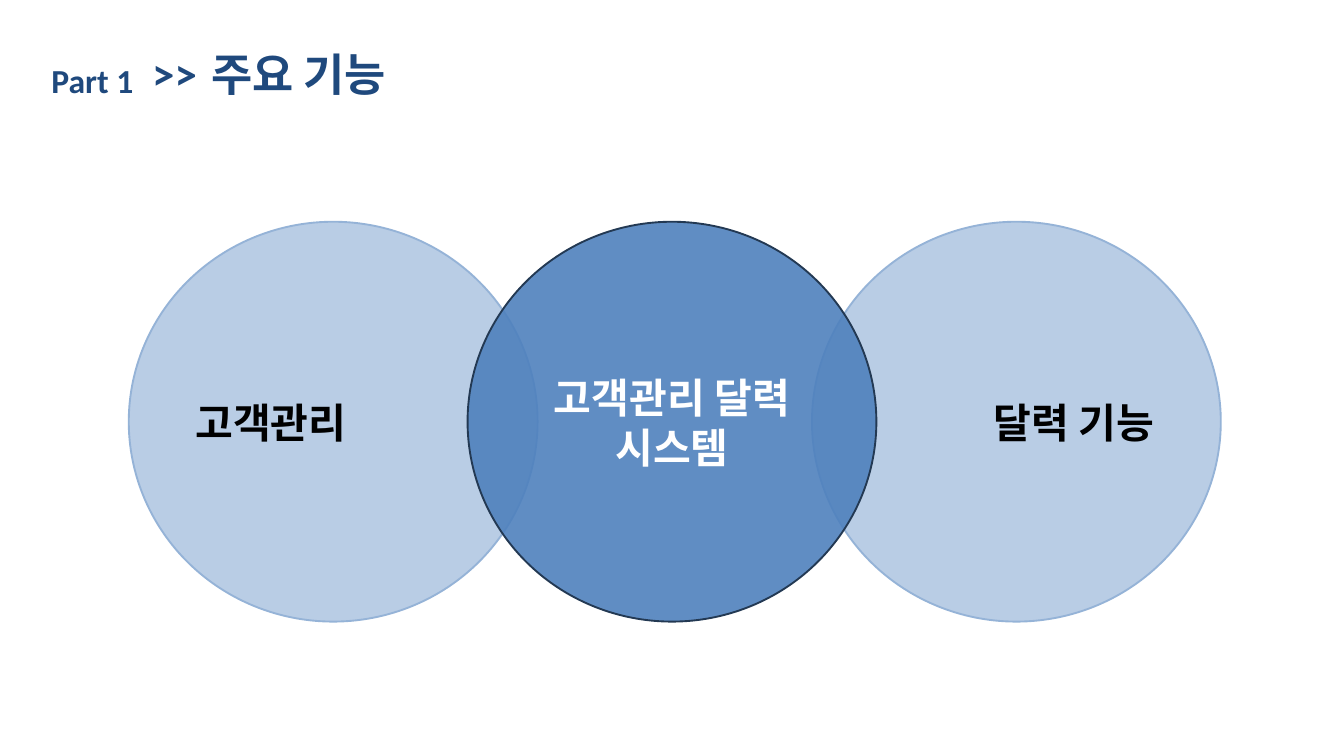
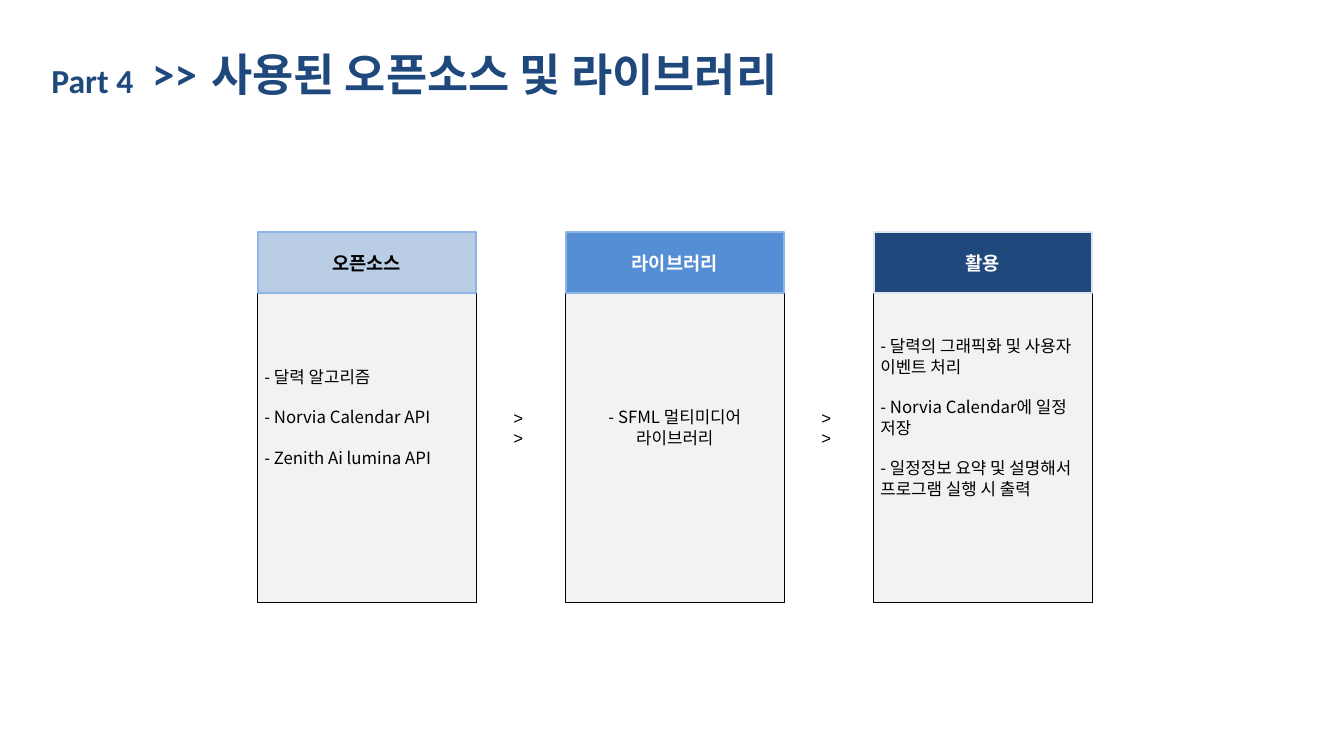
from dataclasses import dataclass
from typing import Optional

from lxml import etree
from pptx import Presentation
from pptx.dml.color import RGBColor
from pptx.enum.shapes import MSO_SHAPE
from pptx.enum.text import MSO_ANCHOR, MSO_AUTO_SIZE, PP_ALIGN
from pptx.oxml.ns import qn
from pptx.util import Inches, Pt

LEFT, CENTER, RIGHT = PP_ALIGN.LEFT, PP_ALIGN.CENTER, PP_ALIGN.RIGHT
TOP, MIDDLE = MSO_ANCHOR.TOP, MSO_ANCHOR.MIDDLE
RECTANGLE, OVAL = MSO_SHAPE.RECTANGLE, MSO_SHAPE.OVAL
NO_FIT = MSO_AUTO_SIZE.NONE

COLORS = {
    "navy": "1F497D", "black": "000000", "white": "FFFFFF", "panel": "F2F2F2",
    "pale": "B9CDE5", "pale_edge": "95B3D7", "core": "4F81BD", "core_edge": "233953",
    "mid": "558ED5", "head_edge": "8EB4E3", "ice": "DCE6F2",
}
KOREAN, LATIN, PLAIN = "Noto Sans CJK KR", "Calibri", "Arial"
LINE_RATIO = 1.21

# The page is a grid of 240 columns by 135 rows
PAGE_WIDTH, PAGE_HEIGHT = Inches(20), Inches(11.25)
COLUMN, ROW = PAGE_WIDTH / 240, PAGE_HEIGHT / 135


@dataclass(frozen=True)
class Area:
    column: float
    row: float
    columns: float
    rows: float

    def emu(self) -> tuple[int, int, int, int]:
        return (round(self.column * COLUMN), round(self.row * ROW),
                round(self.columns * COLUMN), round(self.rows * ROW))


@dataclass(frozen=True)
class TextStyle:
    size: int
    font: str = KOREAN
    color: str = "black"
    bold: bool = False
    align: PP_ALIGN = LEFT
    anchor: MSO_ANCHOR = MIDDLE
    gap: float = 0
    wrap: bool = True


@dataclass(frozen=True)
class Paint:
    fill: str
    line: str
    weight: float = 2
    opacity: int = 100


@dataclass(frozen=True)
class Circle:
    column: float
    lines: list[str]
    paint: Paint
    color: str
    align: PP_ALIGN


@dataclass(frozen=True)
class Card:
    heading: str
    heading_color: str
    paint: Paint
    lines: list[str]
    placeholder: Optional[int] = None


TOPIC_STYLE = TextStyle(48, KOREAN, "navy", True, anchor=TOP, wrap=False)
MARK_STYLE = TextStyle(48, LATIN, "navy", True, anchor=TOP, wrap=False)
PART_STYLE = TextStyle(36, LATIN, "navy", True, anchor=TOP)
STEP_STYLE = TextStyle(18, PLAIN, anchor=TOP)
LIST_STYLE = TextStyle(18, gap=21.8)
NOTE_STYLE = TextStyle(18, align=CENTER)

SIDE_PAINT = Paint("pale", "pale_edge")
PANEL_PAINT = Paint("panel", "black", 0.75)

CIRCLES = [
    Circle(145, ["달력 기능"], SIDE_PAINT, "black", RIGHT),
    Circle(23, ["고객관리"], SIDE_PAINT, "black", LEFT),
    Circle(83.5, ["고객관리 달력", "시스템"],
           Paint("core", "core_edge", opacity=90), "white", CENTER),
]

CARDS = [
    Card("오픈소스", "black", Paint("pale", "head_edge"),
         ["- 달력 알고리즘", "- Norvia Calendar API", "- Zenith Ai lumina API"], 1),
    Card("라이브러리", "white", Paint("mid", "head_edge"),
         ["- SFML 멀티미디어 라이브러리"]),
    Card("활용", "white", Paint("navy", "ice"),
         ["- 달력의 그래픽화 및 사용자 이벤트 처리",
          "- Norvia Calendar에 일정 저장",
          "- 일정정보 요약 및 설명해서 프로그램 실행 시 출력"], 2),
]
CARD_LEFT, CARD_TOP, CARD_PITCH = 46, 41.5, 55
CARD_COLUMNS, CARD_ROWS, HEAD_ROWS = 39, 66, 10.9


def rgb(name: str) -> RGBColor:
    return RGBColor.from_string(COLORS[name])


def write(box, lines: list[str], style: TextStyle) -> None:
    """Fill a shape's text frame, one paragraph per line."""
    frame = box.text_frame
    frame.auto_size = NO_FIT
    frame.word_wrap = style.wrap
    frame.vertical_anchor = style.anchor
    for index, line in enumerate(lines):
        para = frame.add_paragraph() if index else frame.paragraphs[0]
        properties = para._p.get_or_add_pPr()
        properties.set("marL", "0")
        properties.set("indent", "0")
        etree.SubElement(properties, qn("a:buNone"))
        para.alignment = style.align
        para.line_spacing = Pt(round(style.size * LINE_RATIO, 1))
        para.space_before = Pt(style.gap if index else 0)
        para.space_after = Pt(0)
        span = para.add_run()
        span.text = line
        span.font.size = Pt(style.size)
        span.font.bold = style.bold
        span.font.color.rgb = rgb(style.color)
        span.font.name = style.font
        east_asian = etree.SubElement(span._r.get_or_add_rPr(), qn("a:ea"))
        east_asian.set("typeface", style.font)


def place(box, area: Area) -> None:
    box.left, box.top, box.width, box.height = area.emu()


def paint_box(box, paint: Paint) -> None:
    box.fill.solid()
    box.fill.fore_color.rgb = rgb(paint.fill)
    box.line.color.rgb = rgb(paint.line)
    box.line.width = Pt(paint.weight)
    if paint.opacity < 100:
        color = box._element.spPr.find(qn("a:solidFill"))[0]
        etree.SubElement(color, qn("a:alpha")).set("val", str(paint.opacity * 1000))


def add_text(page, area: Area, text: str, style: TextStyle) -> None:
    write(page.shapes.add_textbox(*area.emu()), [text], style)


def add_box(page, kind: MSO_SHAPE, area: Area, paint: Paint,
            lines: list[str], style: TextStyle):
    box = page.shapes.add_shape(kind, *area.emu())
    box.shadow.inherit = False
    paint_box(box, paint)
    write(box, lines, style)
    return box


def add_page(deck, layout: int, part: str, topic: str, topic_columns: float):
    """Add a page with the shared heading: part, mark and topic."""
    page = deck.slides.add_slide(deck.slide_layouts[layout])
    place(page.shapes.title, Area(36.5, 7.7, topic_columns, 10.9))
    write(page.shapes.title, [topic], TOPIC_STYLE)
    add_text(page, Area(26, 7.5, 10.4, 10.9), ">>", MARK_STYLE)
    add_text(page, Area(8, 10, 19.8, 8.5), part, PART_STYLE)
    return page


def add_card(page, column: float, card: Card) -> None:
    area = Area(column, CARD_TOP, CARD_COLUMNS, CARD_ROWS)
    if card.placeholder is None:
        panel = add_box(page, RECTANGLE, area, PANEL_PAINT, card.lines, NOTE_STYLE)
        panel.text_frame.margin_top = Inches(0.35)
    else:
        panel = page.placeholders[card.placeholder]
        place(panel, area)
        paint_box(panel, PANEL_PAINT)
        write(panel, card.lines, LIST_STYLE)
    add_box(page, RECTANGLE, Area(column, CARD_TOP, CARD_COLUMNS, HEAD_ROWS),
            card.paint, [card.heading],
            TextStyle(20, color=card.heading_color, bold=True, align=CENTER))


def build_features(deck) -> None:
    page = add_page(deck, 5, "Part 1", "주요 기능", 35)
    for circle in CIRCLES:
        add_box(page, OVAL, Area(circle.column, 39.6, 73, 71.4), circle.paint,
                circle.lines,
                TextStyle(44, color=circle.color, bold=True, align=circle.align))


def build_libraries(deck) -> None:
    page = add_page(deck, 3, "Part 4", "사용된 오픈소스 및 라이브러리", 108)
    for index, card in enumerate(CARDS):
        column = CARD_LEFT + index * CARD_PITCH
        add_card(page, column, card)
        # Step mark in the gap before the next card
        if index < len(CARDS) - 1:
            add_text(page, Area(column + 44.5, 72.1, 5.2, 4.8), ">>", STEP_STYLE)


def main() -> None:
    deck = Presentation()
    deck.slide_width, deck.slide_height = PAGE_WIDTH, PAGE_HEIGHT
    build_features(deck)
    build_libraries(deck)
    deck.save("out.pptx")


if __name__ == "__main__":
    main()
